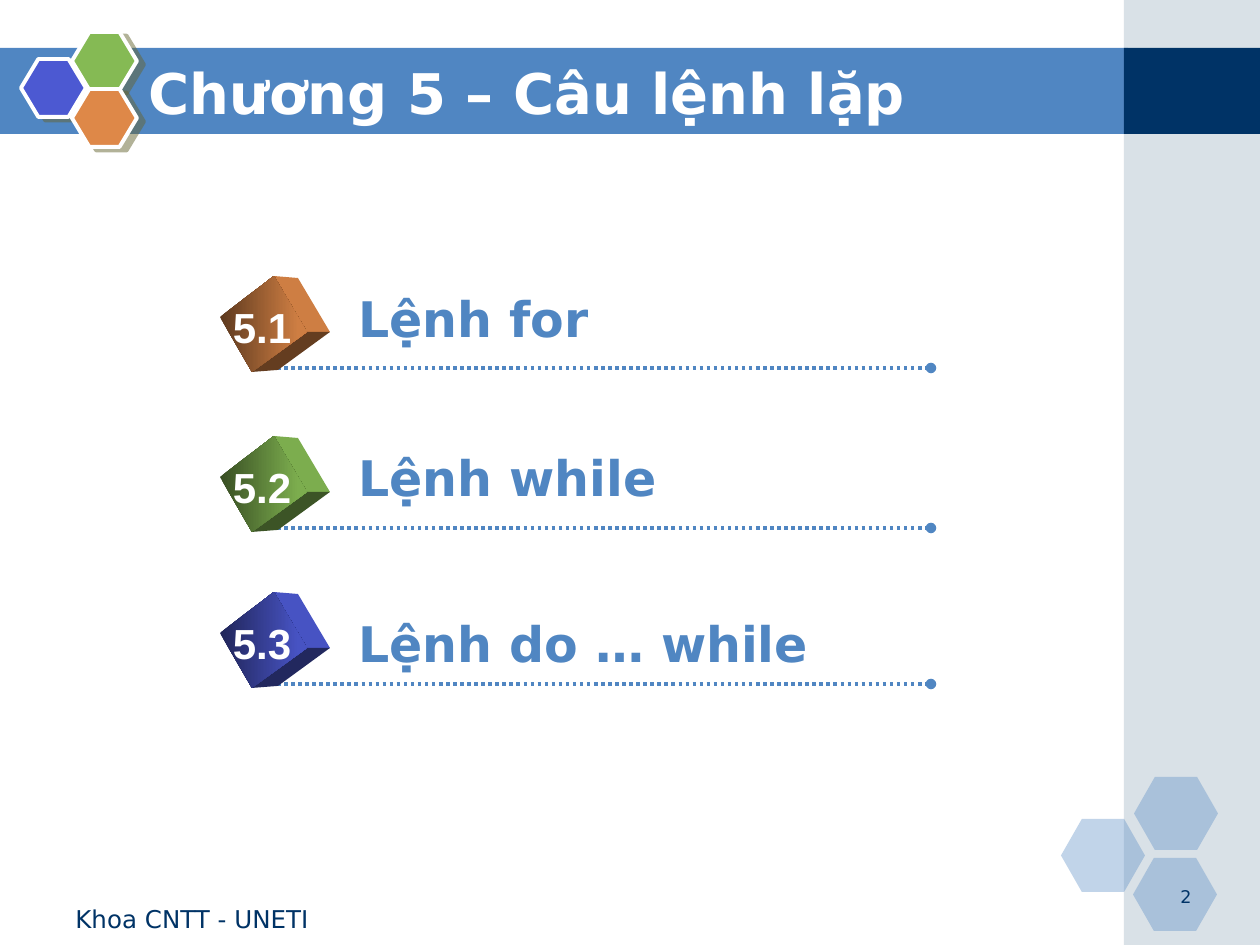
from lxml import etree
from pptx import Presentation
from pptx import util as u
from pptx.dml import color
from pptx.enum import dml, shapes, text
from pptx.oxml import ns

BLUE, NAVY, WHITE = "5086C2", "003366", "FFFFFF"
ORANGE, GREEN, INDIGO = "DE8848", "85BA54", "4C59D2"


def px(length):
    """Turn pixels, 126 to the inch, into EMU."""
    return u.Emu(round(length * 914400 / 126))


def rgb(code):
    """Read a hex string as a colour."""
    return color.RGBColor.from_string(code)


def shade(code, factor):
    """Darken a hex colour by a factor."""
    return "".join(f"{round(int(code[i:i + 2], 16) * factor):02X}" for i in (0, 2, 4))


def child(parent, tag, **attributes):
    """Add a drawing element with attributes under a parent."""
    return etree.SubElement(parent, ns.qn(tag), {k: str(v) for k, v in attributes.items()})


def paint(shape, fill, opacity=100, outline=None):
    """Give a shape a flat fill, an optional outline and no shadow."""
    shape.shadow.inherit = False
    shape.fill.solid()
    shape.fill.fore_color.rgb = rgb(fill)
    if opacity < 100:
        tint = shape.fill._xPr.find(ns.qn("a:solidFill"))[0]
        child(tint, "a:alpha", val=opacity * 1000)
    if outline:
        shape.line.color.rgb = rgb(outline)
        shape.line.width = u.Pt(2.25)
    else:
        shape.line.fill.background()


def block(slide, x, y, w, h, fill, opacity=100):
    """Draw a flat rectangle."""
    panel = slide.shapes.add_shape(shapes.MSO_SHAPE.RECTANGLE, px(x), px(y), px(w), px(h))
    paint(panel, fill, opacity)


def hexagon(slide, x, y, w, h, fill, bend, opacity=100, outline=None):
    """Draw a hexagon; an outlined one also casts a hard shadow."""
    cell = slide.shapes.add_shape(shapes.MSO_SHAPE.HEXAGON, px(x), px(y), px(w), px(h))
    cell.adjustments[0] = bend
    paint(cell, fill, opacity, outline)
    if outline:
        effects = cell._element.spPr.find(ns.qn("a:effectLst"))
        cast = child(effects, "a:outerShdw", blurRad=0, dist=u.Pt(4.5), dir=27 * 60000,
                     algn="ctr", rotWithShape=0)
        tint = child(cast, "a:srgbClr", val="666633")
        child(tint, "a:alpha", val=50000)


def face(slide, corners, fill, dark=None):
    """Draw one side of a cube, shaded from dark to fill if dark is given."""
    builder = slide.shapes.build_freeform(*corners[0], scale=px(1))
    builder.add_line_segments(corners[1:], close=True)
    side = builder.convert_to_shape()
    paint(side, fill)
    if dark:
        side.fill.gradient()
        side.fill.gradient_angle = 0
        for stop, code, place in zip(side.fill.gradient_stops, (dark, fill), (0, 0.9)):
            stop.color.rgb = rgb(code)
            stop.position = place


def cube(slide, top, fill):
    """Draw a tilted cube whose highest corner is at top."""
    left, peak, right, foot = (220, top + 41), (274, top), (307, top + 56), (252, top + 96)
    back_peak, back_right, back_foot = (298, top + 2), (330, top + 56), (278, top + 94)
    face(slide, [peak, back_peak, back_right, right], shade(fill, 0.93))
    face(slide, [right, back_right, back_foot, foot], shade(fill, 0.45))
    face(slide, [left, peak, right, foot], shade(fill, 0.93), shade(fill, 0.42))


def dotted_rule(slide, y):
    """Draw a dotted line ending in a round dot."""
    rule = slide.shapes.add_connector(shapes.MSO_CONNECTOR.STRAIGHT,
                                      px(270), px(y), px(931), px(y))
    rule.line.color.rgb = rgb(BLUE)
    rule.line.width = u.Pt(2)
    rule.line.dash_style = dml.MSO_LINE.ROUND_DOT
    child(rule.line._get_or_add_ln(), "a:tailEnd", type="oval")
    child(rule._element.spPr, "a:effectLst")


def write(holder, words, size, fill, font="DejaVu Sans", bold=False, wrap=True,
          align=text.PP_ALIGN.LEFT, anchor=text.MSO_ANCHOR.TOP):
    """Put one formatted paragraph into a shape."""
    frame = holder.text_frame
    frame.auto_size = text.MSO_AUTO_SIZE.NONE
    frame.word_wrap = wrap
    frame.vertical_anchor = anchor
    paragraph = frame.paragraphs[0]
    paragraph.alignment = align
    run = paragraph.add_run()
    run.text = words
    run.font.size = u.Pt(size)
    run.font.name = font
    run.font.bold = bold
    run.font.color.rgb = rgb(fill)


def label(slide, x, y, w, h, words, size, fill, **style):
    """Add a text box holding one paragraph."""
    box = slide.shapes.add_textbox(px(x), px(y), px(w), px(h))
    write(box, words, size, fill, **style)


def heading(slide, words):
    """Place the title in front of its band."""
    title = slide.shapes.title
    title.left, title.top, title.width, title.height = px(136), px(53), px(1124), px(78)
    write(title, words, 32, WHITE, bold=True, anchor=text.MSO_ANCHOR.MIDDLE)
    title._element.getparent().append(title._element)


def topic(slide, top, number, words, fill, words_top):
    """Draw one numbered topic with its cube and rule."""
    dotted_rule(slide, top + 92)
    cube(slide, top, fill)
    label(slide, 220, top + 19, 84, 63, number, 24, WHITE, font="Arial", bold=True,
          wrap=False, align=text.PP_ALIGN.CENTER)
    label(slide, 346, words_top, 580, 72, words, 28, BLUE, bold=True)


def main():
    """Build the chapter outline slide."""
    deck = Presentation()
    deck.slide_width, deck.slide_height = px(1260), px(945)
    slide = deck.slides.add_slide(deck.slide_layouts[5])
    block(slide, 0, 48, 1128, 86, BLUE)
    block(slide, 1124, 0, 136, 945, "A0B5C4", 40)
    block(slide, 1124, 48, 136, 86, NAVY)
    for x, y in ((1061, 819), (1134, 777), (1133, 858)):
        hexagon(slide, x, y, 84, 73, BLUE, 0.286, opacity=35)
    for x, y, fill in ((21, 59, INDIGO), (72, 32, GREEN), (72, 89, ORANGE)):
        hexagon(slide, x, y, 65, 58, fill, 0.3, outline=WHITE)
    heading(slide, "Chương 5 – Câu lệnh lặp")
    for top, number, words, fill, words_top in (
            (276, "5.1", "Lệnh for", ORANGE, 282),
            (436, "5.2", "Lệnh while", GREEN, 441),
            (592, "5.3", "Lệnh do … while", INDIGO, 607)):
        topic(slide, top, number, words, fill, words_top)
    label(slide, 63, 898, 294, 34, "Khoa CNTT - UNETI", 14, NAVY)
    label(slide, 1141, 880, 63, 32, "2", 10, NAVY, align=text.PP_ALIGN.RIGHT)
    deck.save("out.pptx")


if __name__ == "__main__":
    main()
